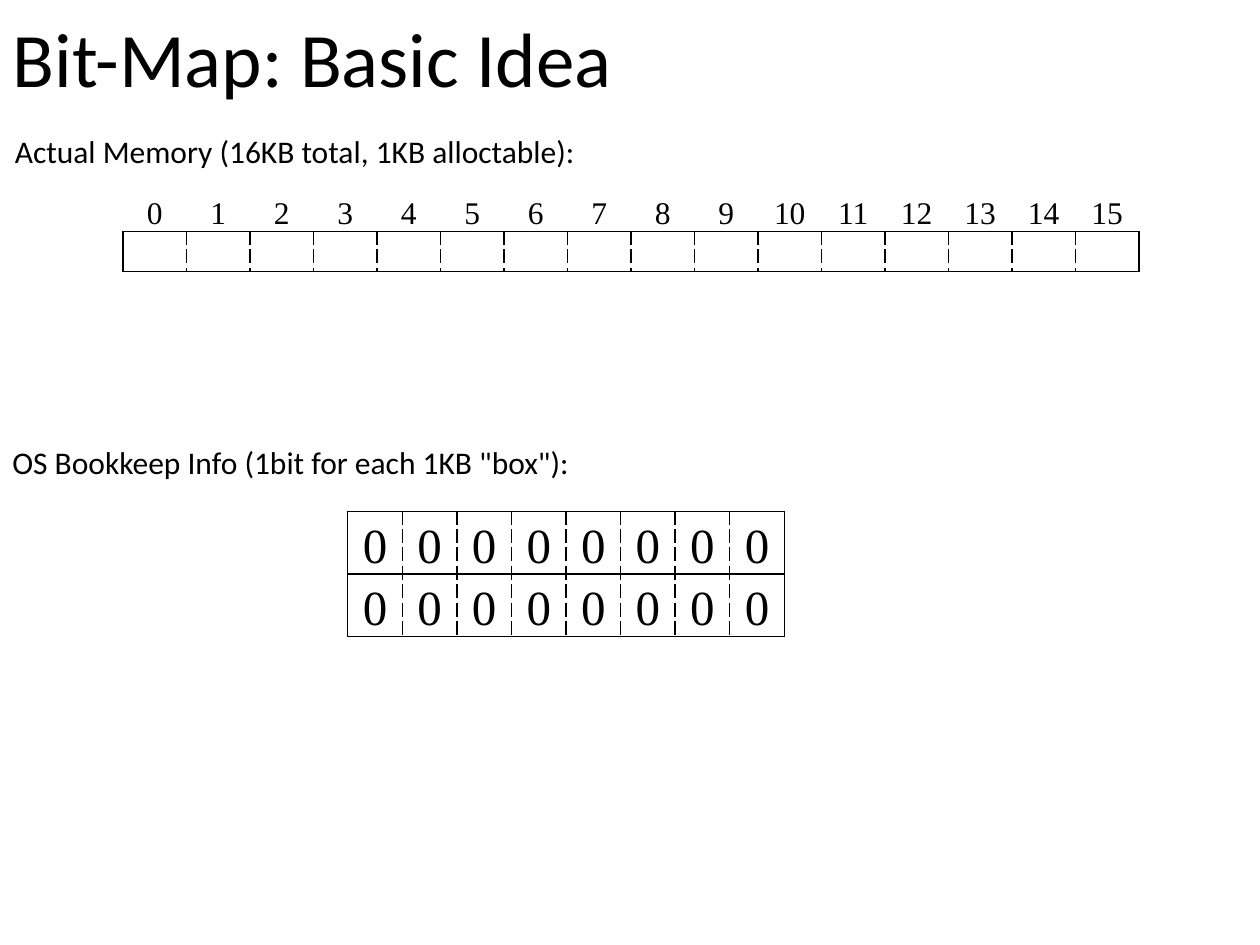
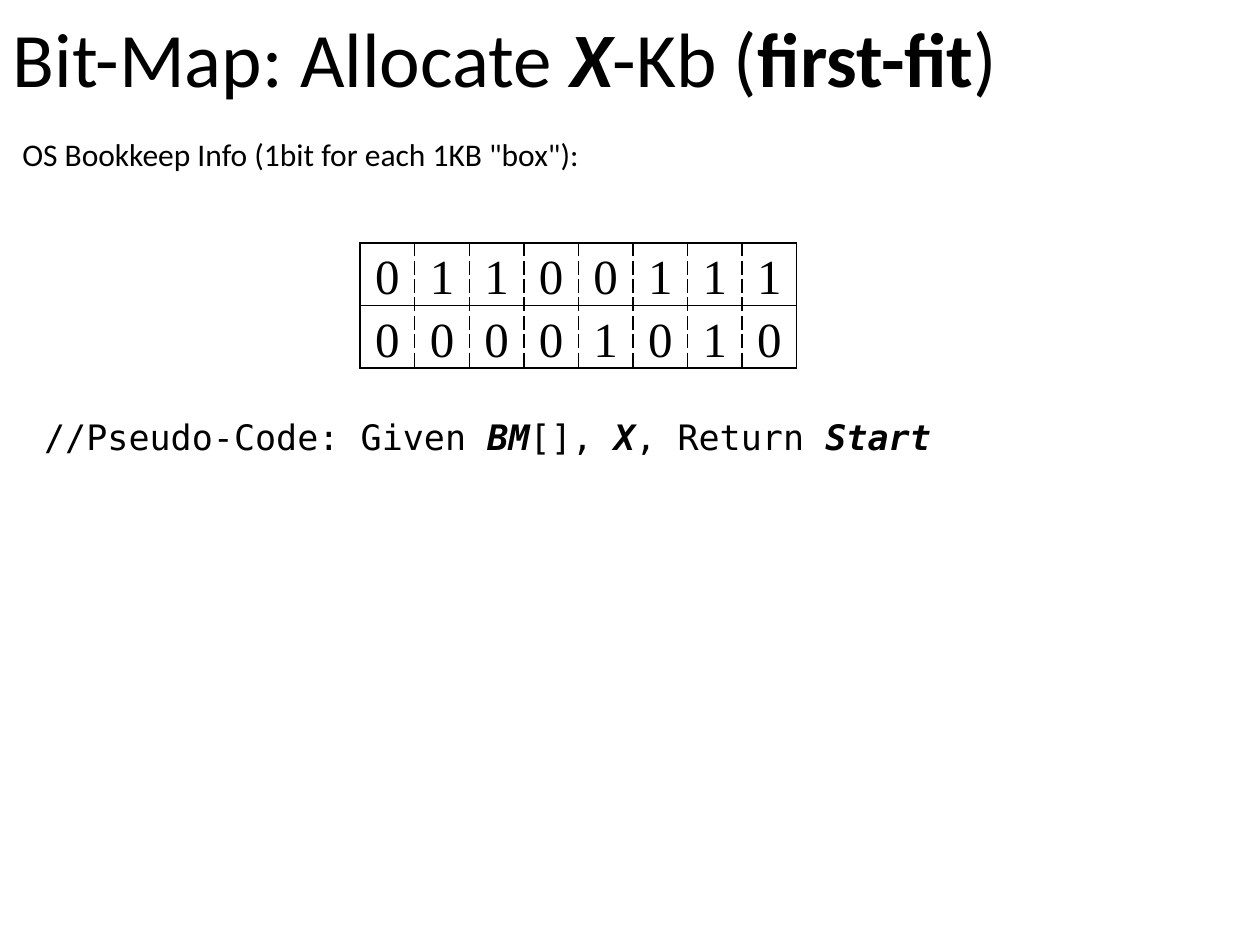
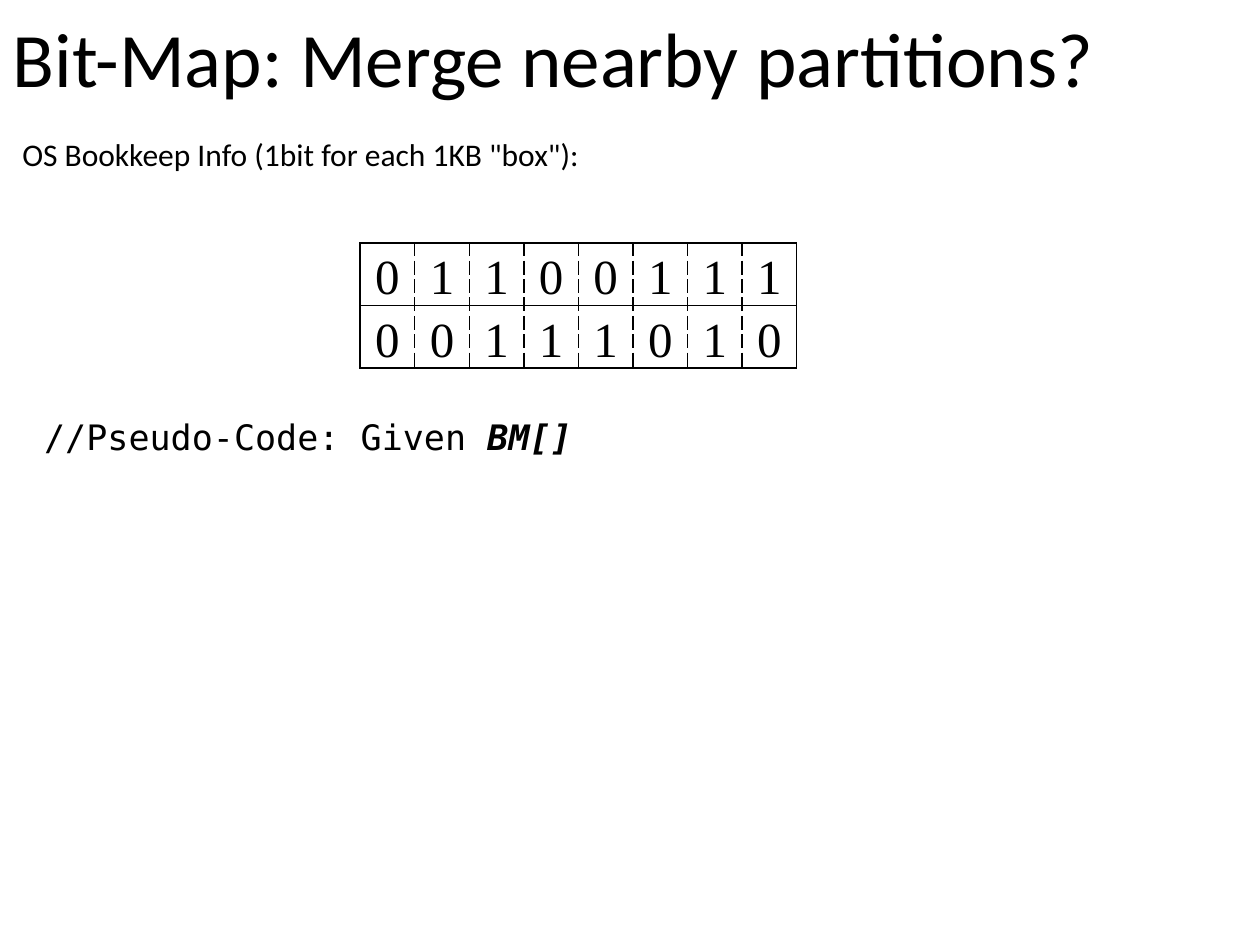
from lxml.etree import SubElement
from pptx import Presentation
from pptx.dml.color import RGBColor
from pptx.enum.text import MSO_ANCHOR, MSO_AUTO_SIZE, PP_ALIGN
from pptx.oxml.ns import qn
from pptx.util import Cm, Pt

COLORS = {"text": "000000", "border": "000000"}
SANS, SERIF, MONO = "Calibri", "Times New Roman", "DejaVu Sans Mono"
PLAIN, BOLD, BOLD_ITALIC = (False, False), (True, False), (True, True)

BOOKKEEPING = 'OS Bookkeep Info (1bit for each 1KB "box"):'
LOWER_LABEL_AT = (0, 8.81, 11.89)
UPPER_LABEL_AT = (0.2, 2.59, 11.89)
UPPER_BITS_AT = (7.26, 4.9)

SLIDES = [
    {
        "title": [("Bit-Map: Basic Idea", PLAIN)],
        "memory": {"at": (2.48, 3.86), "boxes": 16},
        "bits": {"at": (7.01, 10.31), "rows": ["00000000", "00000000"]},
        "labels": [
            ("Actual Memory (16KB total, 1KB alloctable):", (0.05, 2.54, 13.89)),
            (BOOKKEEPING, LOWER_LABEL_AT),
        ],
    },
    {
        "title": [("Bit-Map: Allocate ", PLAIN), ("X", BOLD_ITALIC), ("-Kb (", PLAIN),
                  ("first-fit", BOLD), (")", PLAIN)],
        "bits": {"at": UPPER_BITS_AT, "rows": ["01100111", "00001010"]},
        "labels": [(BOOKKEEPING, UPPER_LABEL_AT)],
        "code": [("//Pseudo-Code: Given ", PLAIN), ("BM", BOLD_ITALIC), ("[], ", PLAIN),
                 ("X", BOLD_ITALIC), (", Return ", PLAIN), ("Start", BOLD_ITALIC)],
    },
    {
        "title": [("Bit-Map: Merge nearby partitions?", PLAIN)],
        "bits": {"at": UPPER_BITS_AT, "rows": ["01100111", "00111010"]},
        "labels": [(BOOKKEEPING, UPPER_LABEL_AT)],
        "code": [("//Pseudo-Code: Given ", PLAIN), ("BM[]", BOLD_ITALIC)],
    },
]


def set_font(paragraph, name, size):
    paragraph.font.name = name
    paragraph.font.size = Pt(size)
    paragraph.font.color.rgb = RGBColor.from_string(COLORS["text"])


def write_runs(paragraph, runs, name, size):
    set_font(paragraph, name, size)
    for text, (bold, italic) in runs:
        run = paragraph.add_run()
        run.text = text
        if bold:
            run.font.bold = True
        if italic:
            run.font.italic = True


def place(shape, left, top, width, height):
    shape.left, shape.top = Cm(left), Cm(top)
    shape.width, shape.height = Cm(width), Cm(height)


def add_title(slide, runs):
    title = slide.shapes.title
    place(title, 0, -0.05, 25.4, 2.64)
    frame = title.text_frame
    frame.auto_size = MSO_AUTO_SIZE.NONE
    frame.vertical_anchor = MSO_ANCHOR.MIDDLE
    paragraph = frame.paragraphs[0]
    paragraph.alignment = PP_ALIGN.LEFT
    paragraph.line_spacing = 0.9
    write_runs(paragraph, runs, SANS, 44)


def add_text(slide, runs, at, height, name, size):
    left, top, width = at
    box = slide.shapes.add_textbox(Cm(left), Cm(top), Cm(width), Cm(height))
    frame = box.text_frame
    frame.word_wrap = True
    frame.auto_size = MSO_AUTO_SIZE.SHAPE_TO_FIT_TEXT
    write_runs(frame.paragraphs[0], runs, name, size)


def set_borders(cell, borders):
    properties = cell._tc.get_or_add_tcPr()
    for side in "LRTB":
        dash = borders.get(side)
        line = SubElement(properties, qn(f"a:ln{side}"), w=str(Pt(1)))
        if dash is None:
            SubElement(line, qn("a:noFill"))
            continue
        fill = SubElement(line, qn("a:solidFill"))
        SubElement(fill, qn("a:srgbClr"), val=COLORS["border"])
        SubElement(line, qn("a:prstDash"), val=dash)


def add_grid(slide, at, rows, column_width, row_height, size, has_header=False):
    left, top = at
    columns = len(rows[0])
    table = slide.shapes.add_table(
        len(rows), columns, Cm(left), Cm(top),
        Cm(column_width * columns), Cm(row_height * len(rows))).table
    table.first_row = table.horz_banding = False
    for column in table.columns:
        column.width = Cm(column_width)
    for row_index, values in enumerate(rows):
        table.rows[row_index].height = Cm(row_height)
        for column_index, value in enumerate(values):
            cell = table.cell(row_index, column_index)
            cell.margin_left = cell.margin_right = Cm(0.19)
            cell.margin_top = cell.margin_bottom = 0
            if has_header and row_index == 0:
                borders = {"B": "solid"}
            else:
                borders = {
                    "L": "solid" if column_index == 0 else "dash",
                    "R": "solid" if column_index == columns - 1 else "dash",
                    "T": "solid",
                    "B": "solid",
                }
            set_borders(cell, borders)
            cell.fill.background()
            if value:
                cell.text = value
                paragraph = cell.text_frame.paragraphs[0]
                paragraph.alignment = PP_ALIGN.CENTER
                paragraph.line_spacing = 1.15
                set_font(paragraph, SERIF, size)


def main():
    presentation = Presentation()
    presentation.slide_width, presentation.slide_height = Cm(25.4), Cm(19.05)
    for content in SLIDES:
        slide = presentation.slides.add_slide(presentation.slide_layouts[5])
        add_title(slide, content["title"])
        if "memory" in content:
            memory = content["memory"]
            numbers = [str(number) for number in range(memory["boxes"])]
            add_grid(slide, memory["at"], [numbers, [""] * memory["boxes"]],
                     1.28, 0.8, 18, has_header=True)
        add_grid(slide, content["bits"]["at"], content["bits"]["rows"], 1.1, 1.26, 28)
        for text, at in content["labels"]:
            add_text(slide, [(text, PLAIN)], at, 1.02, SANS, 18)
        if "code" in content:
            add_text(slide, content["code"], (0.64, 8.26, 24.28), 1.12, MONO, 20)
    presentation.save("out.pptx")


if __name__ == "__main__":
    main()
